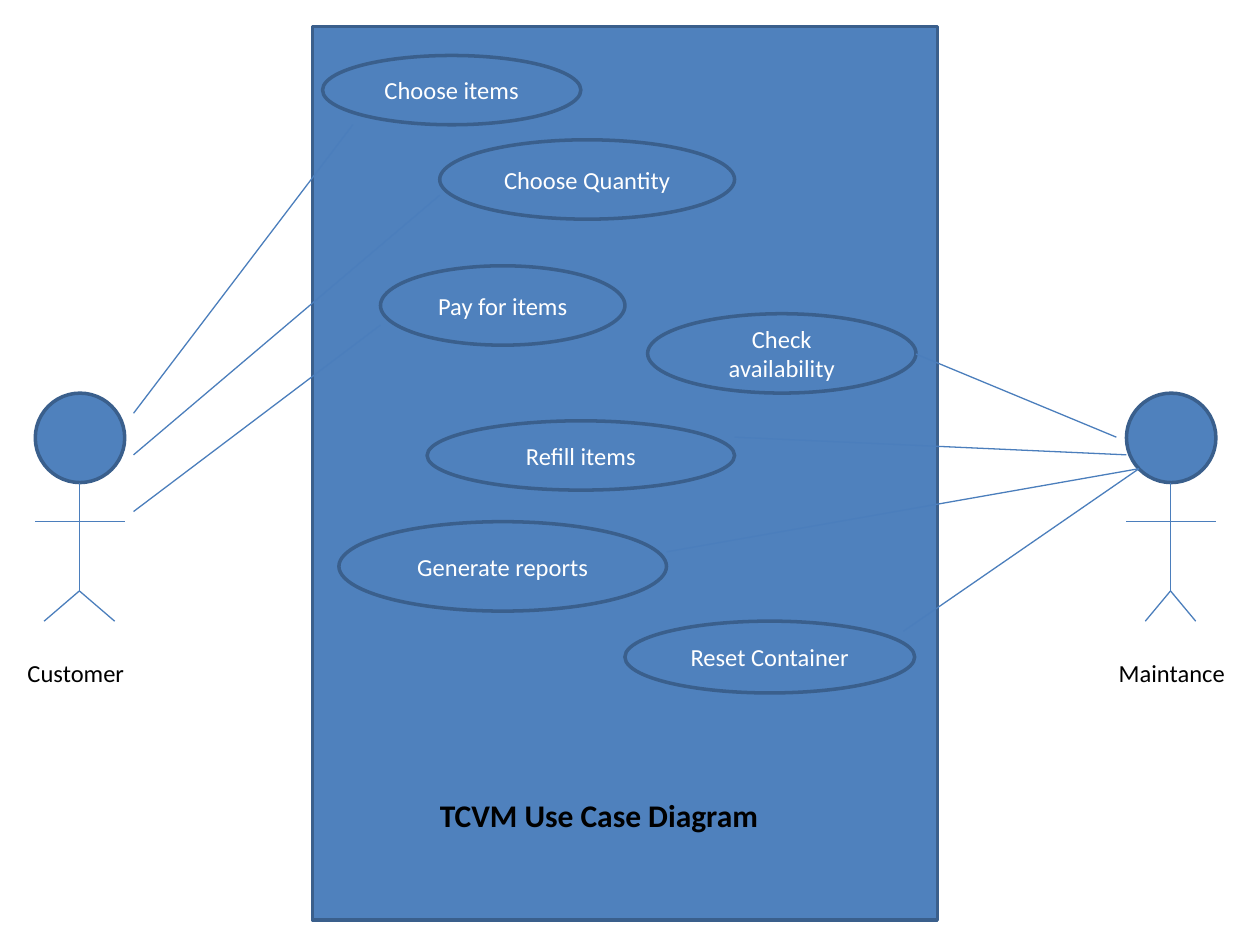
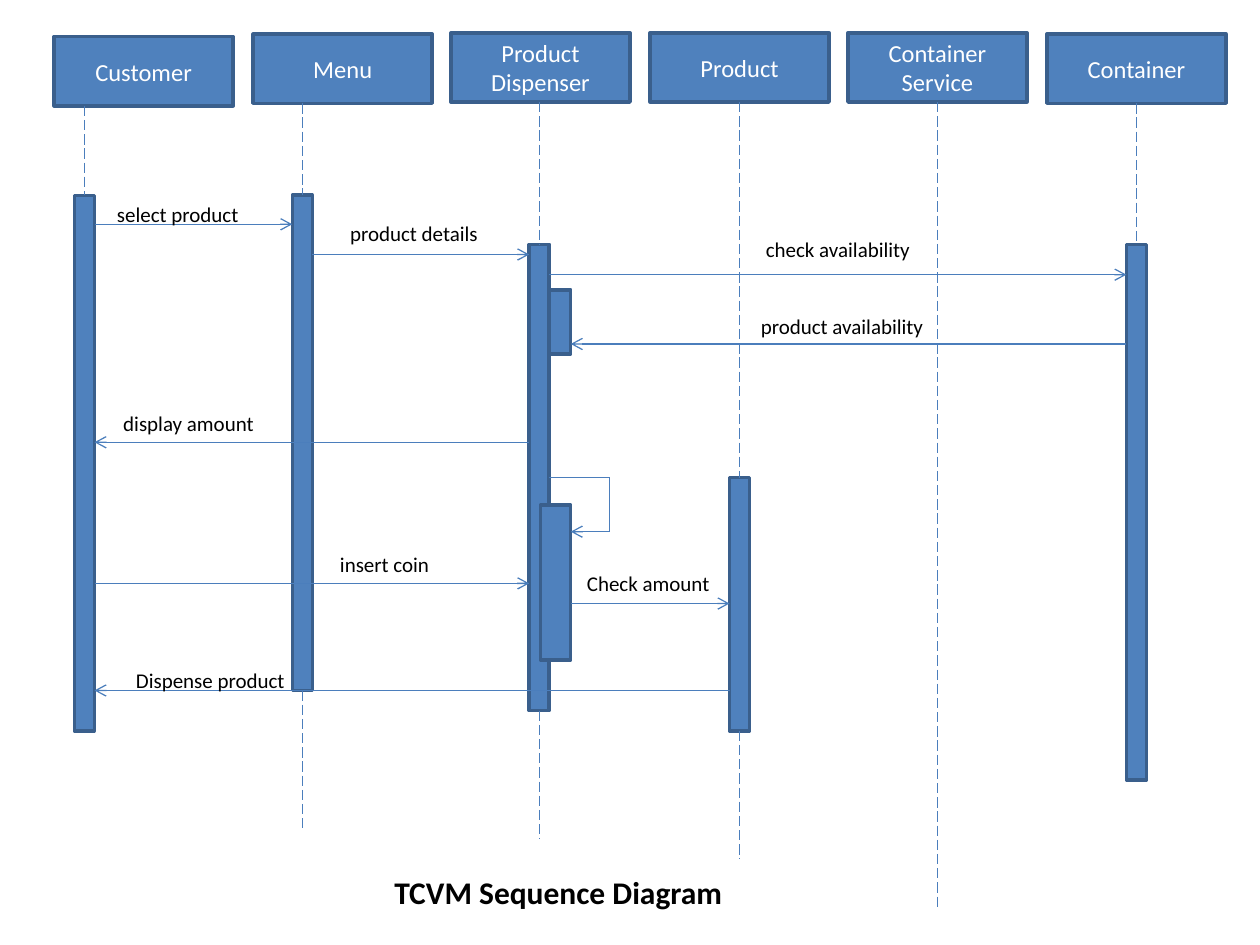
"""Build the use case and sequence diagrams of the TCVM system."""
from dataclasses import dataclass
from typing import NamedTuple, Optional

from lxml import etree
from pptx import Presentation
from pptx import util as u
from pptx.dml.color import RGBColor
from pptx.enum import dml, shapes, text
from pptx.oxml import ns

BLUE = RGBColor(0x4F, 0x81, 0xBD)
EDGE = RGBColor(0x3A, 0x5F, 0x8C)
LINK = RGBColor(0x4B, 0x7E, 0xBC)
BLACK = RGBColor(0, 0, 0)
WHITE = RGBColor(255, 255, 255)
FONT = "Calibri"
PX_PER_INCH = 100

RECT = shapes.MSO_SHAPE.RECTANGLE
OVAL = shapes.MSO_SHAPE.OVAL
HEAD = shapes.MSO_SHAPE.FLOWCHART_CONNECTOR

HEAD_WIDTH, HEAD_HEIGHT, HEAD_STEP = 142, 55, 157.6
BAR_WIDTH = 16


class Point(NamedTuple):
    x: int
    y: int


class Area(NamedTuple):
    left: int
    top: int
    width: int
    height: int


@dataclass(frozen=True)
class Actor:
    name: str
    left: int
    stride: int


@dataclass(frozen=True)
class UseCase:
    name: str
    area: Area
    actor_end: Point
    case_end: Point


@dataclass(frozen=True)
class Participant:
    name: str
    top: int
    x: int
    bar_top: Optional[int] = None
    bar_bottom: Optional[int] = None
    end: Optional[int] = None


@dataclass(frozen=True)
class Message:
    name: str
    label: Point
    width: int
    start: int
    stop: int
    y: int


ACTORS = [Actor("Customer", 28, 28), Actor("Maintance", 894, 20)]

USE_CASES = [
    UseCase("Choose items", Area(256, 44, 205, 55), Point(106, 328), Point(280, 99)),
    UseCase("Choose Quantity", Area(349, 111, 234, 63), Point(106, 361), Point(349, 155)),
    UseCase("Pay for items", Area(302, 211, 194, 63), Point(106, 406), Point(302, 258)),
    UseCase("Check availability", Area(514, 249, 213, 63), Point(886, 347), Point(727, 281)),
    UseCase("Refill items", Area(339, 334, 244, 55), Point(894, 361), Point(583, 347)),
    UseCase("Generate reports", Area(269, 414, 260, 71), Point(904, 372), Point(529, 438)),
    UseCase("Reset Container", Area(496, 493, 230, 57), Point(904, 372), Point(717, 501)),
]

PARTICIPANTS = [
    Participant("Customer", 29, 67, 155, 580),
    Participant("Menu", 27, 240, 155, 548, 658),
    Participant("Product Dispenser", 26, 428, 194, 564, 666),
    Participant("Product", 26, 587, 379, 580, 682),
    Participant("Container Service", 26, 744, end=721),
    Participant("Container", 27, 902, 194, 619),
]

NESTED_BARS = [Area(436, 230, 17, 51), Area(429, 401, 24, 123)]

MESSAGES = [
    Message("select product", Point(83, 155), 118, 75, 232, 178),
    Message("product details", Point(268, 170), 134, 248, 420, 202),
    Message("check availability", Point(598, 183), 154, 436, 894, 218),
    Message("product availability", Point(594, 244), 157, 894, 453, 273),
    Message("display amount", Point(88, 321), 134, 420, 75, 351),
    Message("insert coin", Point(260, 433), 106, 75, 420, 463),
    Message("Check amount", Point(456, 448), 123, 453, 579, 479),
    Message("Dispense product", Point(98, 525), 189, 579, 75, 548),
]

SELF_CALL = [Point(436, 379), Point(484, 379), Point(484, 422), Point(453, 422)]


def px(length: int) -> u.Emu:
    """Turn pixels into EMU."""
    return u.Emu(length * u.Inches(1) // PX_PER_INCH)


def write(shape, words: str, size: int, color: RGBColor, bold: bool = False) -> None:
    """Put one formatted paragraph in a shape."""
    frame = shape.text_frame
    frame.text = words
    frame.word_wrap = True
    for span in frame.paragraphs[0].runs:
        span.font.name = FONT
        span.font.size = u.Pt(size)
        span.font.bold = bold
        span.font.color.rgb = color


def add_box(page, kind, area: Area, words: str = "") -> None:
    """Draw a blue shape with optional centred white text."""
    box = page.shapes.add_shape(kind, *map(px, area))
    box.shadow.inherit = False
    box.fill.solid()
    box.fill.fore_color.rgb = BLUE
    box.line.color.rgb = EDGE
    box.line.width = u.Pt(2)
    if words:
        write(box, words, 14, WHITE)
        box.text_frame.vertical_anchor = text.MSO_ANCHOR.MIDDLE
        box.text_frame.paragraphs[0].alignment = text.PP_ALIGN.CENTER


def add_line(page, start: Point, stop: Point, dashed: bool = False, arrow: bool = False) -> None:
    """Draw a thin line, dashed or with an arrowhead on request."""
    line = page.shapes.add_connector(
        shapes.MSO_CONNECTOR.STRAIGHT, *map(px, (*start, *stop)))
    line.line.color.rgb = LINK
    line.line.width = u.Pt(0.75)
    if dashed:
        line.line.dash_style = dml.MSO_LINE.LONG_DASH
    if arrow:
        tail = etree.SubElement(line.line._get_or_add_ln(), ns.qn("a:tailEnd"))
        tail.set("type", "arrow")
    etree.SubElement(line.element.spPr, ns.qn("a:effectLst"))


def add_label(page, area: Area, words: str, size: int) -> None:
    """Draw a plain black label."""
    box = page.shapes.add_textbox(*map(px, area))
    write(box, words, size, BLACK)


def add_title(page, area: Area, words: str) -> None:
    """Place the title placeholder in front of the diagram."""
    title = page.shapes.title
    title.left, title.top, title.width, title.height = map(px, area)
    write(title, words, 18, BLACK, bold=True)
    title.text_frame.auto_size = text.MSO_AUTO_SIZE.NONE
    title.text_frame.vertical_anchor = text.MSO_ANCHOR.TOP
    title.text_frame.paragraphs[0].alignment = text.PP_ALIGN.LEFT
    title.element.getparent().append(title.element)


def add_actor(page, actor: Actor) -> None:
    """Draw a stick figure with its name."""
    size, neck, arms, hip, feet = 71, 383, 414, 469, 493
    middle = actor.left + size // 2
    add_box(page, HEAD, Area(actor.left, 312, size, size))
    add_line(page, Point(middle, neck), Point(middle, hip))
    add_line(page, Point(actor.left, arms), Point(actor.left + size, arms))
    for foot in (middle - actor.stride, middle + actor.stride):
        add_line(page, Point(middle, hip), Point(foot, feet))
    add_label(page, Area(actor.left - 16, 517, 110, 34), actor.name, 14)


def add_participant(page, index: int, member: Participant) -> None:
    """Draw a participant's head, lifeline and activation bar."""
    left = round(43 + index * HEAD_STEP)
    add_box(page, RECT, Area(left, member.top, HEAD_WIDTH, HEAD_HEIGHT), member.name)
    head_bottom = Point(member.x, member.top + HEAD_HEIGHT)
    if member.bar_top is None:
        add_line(page, head_bottom, Point(member.x, member.end), dashed=True)
        return
    add_box(page, RECT, Area(member.x - BAR_WIDTH // 2, member.bar_top,
                             BAR_WIDTH, member.bar_bottom - member.bar_top))
    add_line(page, head_bottom, Point(member.x, member.bar_top), dashed=True)
    if member.end:
        add_line(page, Point(member.x, member.bar_bottom),
                 Point(member.x, member.end), dashed=True)


def add_message(page, message: Message) -> None:
    """Draw a message arrow with its label."""
    add_line(page, Point(message.start, message.y), Point(message.stop, message.y), arrow=True)
    add_label(page, Area(*message.label, message.width, 30), message.name, 12)


def build_use_cases(page) -> None:
    """Fill the use case page."""
    add_box(page, RECT, Area(248, 21, 496, 709))
    for actor in ACTORS:
        add_actor(page, actor)
    for case in USE_CASES:
        add_box(page, OVAL, case.area, case.name)
    for case in USE_CASES:
        add_line(page, case.actor_end, case.case_end)
    add_title(page, Area(339, 627, 285, 40), "TCVM Use Case Diagram")


def build_sequence(page) -> None:
    """Fill the sequence page."""
    for index, member in enumerate(PARTICIPANTS):
        add_participant(page, index, member)
    for bar in NESTED_BARS:
        add_box(page, RECT, bar)
    for start, stop in zip(SELF_CALL, SELF_CALL[1:]):
        add_line(page, start, stop, arrow=stop == SELF_CALL[-1])
    for message in MESSAGES:
        add_message(page, message)
    add_title(page, Area(303, 688, 283, 40), "TCVM Sequence Diagram")


def main() -> None:
    """Build and save the deck."""
    deck = Presentation()
    deck.slide_width, deck.slide_height = px(1000), px(750)
    title_only = deck.slide_layouts.get_by_name("Title Only")
    for build in (build_use_cases, build_sequence):
        build(deck.slides.add_slide(title_only))
    deck.save("out.pptx")


if __name__ == "__main__":
    main()
